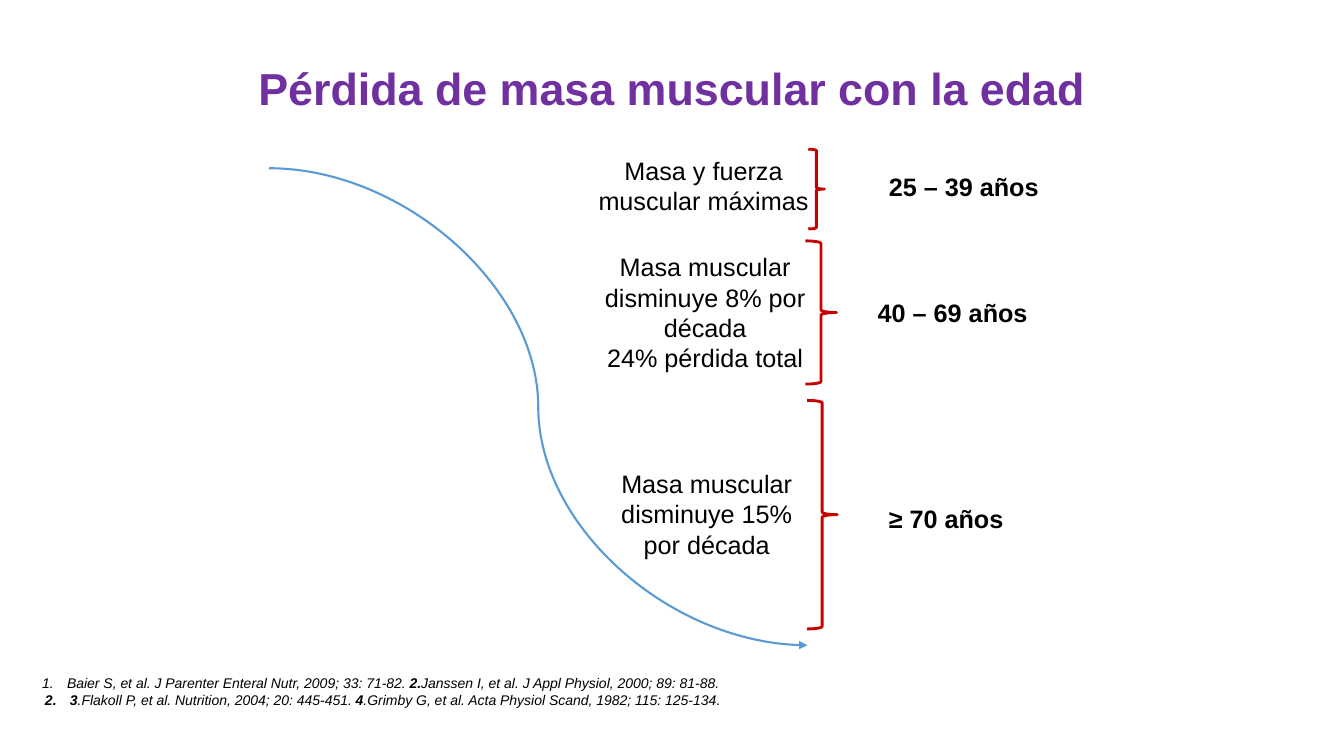
from lxml.etree import SubElement
from pptx import Presentation
from pptx.dml.color import RGBColor
from pptx.enum.shapes import MSO_CONNECTOR as Connector, MSO_SHAPE as Shape
from pptx.enum.text import MSO_ANCHOR as Anchor, MSO_AUTO_SIZE as AutoSize, PP_ALIGN as Align
from pptx.oxml.ns import qn
from pptx.util import Cm, Pt

PURPLE = RGBColor(0x70, 0x30, 0xA0)
BLACK = RGBColor(0, 0, 0)
RED = RGBColor(0xC8, 0, 0)
BLUE = RGBColor(0x5B, 0x9B, 0xD5)

TITLE_FONT = {"size": Pt(32), "bold": True}
FINDING_FONT = {"size": Pt(18), "bold": False}
AGE_FONT = {"size": Pt(18), "bold": True}
REFERENCE_FONT = {"size": Pt(10), "italic": True}

BRACES = [
    (20.37, 3.76, 0.41, 2.01),
    (20.3, 6.07, 0.78, 3.61),
    (20.34, 10.09, 0.76, 5.76),
]
FINDINGS = [
    ((14.68, 3.78, 6.1, 1.8), ["Masa y fuerza muscular máximas"]),
    ((14.81, 6.22, 5.92, 3.33),
     ["Masa muscular disminuye 8% por década", "24% pérdida total"]),
    ((15.09, 11.68, 5.44, 2.57), ["Masa muscular disminuye 15% por década"]),
]
AGES = [
    ((22.15, 4.19, 4.7, 1.02), "25 – 39 años"),
    ((21.87, 7.37, 4.7, 1.02), "40 – 69 años"),
    ((22.15, 12.57, 4.7, 1.02), "≥ 70 años"),
]
REFERENCES = [
    [("Baier S, et al. J Parenter Enteral Nutr, 2009; 33: 71-82.", {}),
     (" 2.", {"bold": True}),
     ("Janssen I, et al. J Appl Physiol, 2000; 89: 81-88. ", {})],
    [("3", {"bold": True}),
     (".Flakoll P, et al. Nutrition, 2004; 20: 445-451.", {}),
     (" 4", {"bold": True}),
     (".Grimby G, et al. Acta Physiol Scand, 1982; 115: 125-134", {}),
     (".", {"italic": False})],
]


def lengths(values):
    """Turn centimetre values into lengths."""
    return [Cm(value) for value in values]


def add_span(para, text, values, color=BLACK):
    """Add a formatted run to a paragraph."""
    span = para.add_run()
    span.text = text
    span.font.color.rgb = color
    for name, value in {"name": "Arial", **values}.items():
        setattr(span.font, name, value)


def fill_title(page, text):
    """Place and format the title placeholder."""
    title = page.shapes.title
    title.left, title.top, title.width, title.height = lengths((4.24, 1.4, 25.4, 1.63))
    frame = title.text_frame
    frame.auto_size = AutoSize.NONE
    frame.vertical_anchor = Anchor.MIDDLE
    para = frame.paragraphs[0]
    para.alignment = Align.CENTER
    add_span(para, text, TITLE_FONT, PURPLE)


def add_text(page, place, lines, values, align=Align.LEFT):
    """Add a text box of paragraphs, each a list of (text, format) pairs."""
    box = page.shapes.add_textbox(*lengths(place))
    frame = box.text_frame
    frame.word_wrap = True
    frame.auto_size = AutoSize.SHAPE_TO_FIT_TEXT
    for index, line in enumerate(lines):
        para = frame.add_paragraph() if index else frame.paragraphs[0]
        para.alignment = align
        for text, changes in line:
            add_span(para, text, {**values, **changes})
    return box


def number_paragraphs(box):
    """Number the paragraphs of a box with a hanging indent."""
    for para in box.text_frame.paragraphs:
        properties = para._p.get_or_add_pPr()
        properties.set("marL", str(Cm(0.63)))
        properties.set("indent", str(-Cm(0.63)))
        SubElement(properties, qn("a:buFont"), typeface="+mj-lt")
        SubElement(properties, qn("a:buAutoNum"), type="arabicPeriod")


def add_brace(page, place):
    """Add a red right brace."""
    brace = page.shapes.add_shape(Shape.RIGHT_BRACE, *lengths(place))
    brace.shadow.inherit = False
    brace.fill.background()
    brace.line.color.rgb = RED
    brace.line.width = Pt(2)


def add_decline_curve(page, ends):
    """Add the curved arrow of muscle decline."""
    curve = page.shapes.add_connector(Connector.CURVE, *lengths(ends))
    curve.line.color.rgb = BLUE
    curve.line.width = Pt(1.5)
    SubElement(curve.line._get_or_add_ln(), qn("a:tailEnd"), type="triangle")
    SubElement(curve._element.spPr, qn("a:effectLst"))


def main():
    """Build and save the slide."""
    deck = Presentation()
    deck.slide_width, deck.slide_height = lengths((33.87, 19.05))
    page = deck.slides.add_slide(deck.slide_layouts[5])
    fill_title(page, "Pérdida de masa muscular con la edad")
    references = add_text(page, (0, 16.87, 19.28, 1.12), REFERENCES,
                          REFERENCE_FONT, Align.CENTER)
    number_paragraphs(references)
    add_decline_curve(page, (6.78, 4.24, 20.35, 16.26))
    for place in BRACES:
        add_brace(page, place)
    for place, texts in FINDINGS:
        lines = [[(text, {})] for text in texts]
        add_text(page, place, lines, FINDING_FONT, Align.CENTER)
    for place, age in AGES:
        add_text(page, place, [[(age, {})]], AGE_FONT)
    deck.save("out.pptx")


if __name__ == "__main__":
    main()
